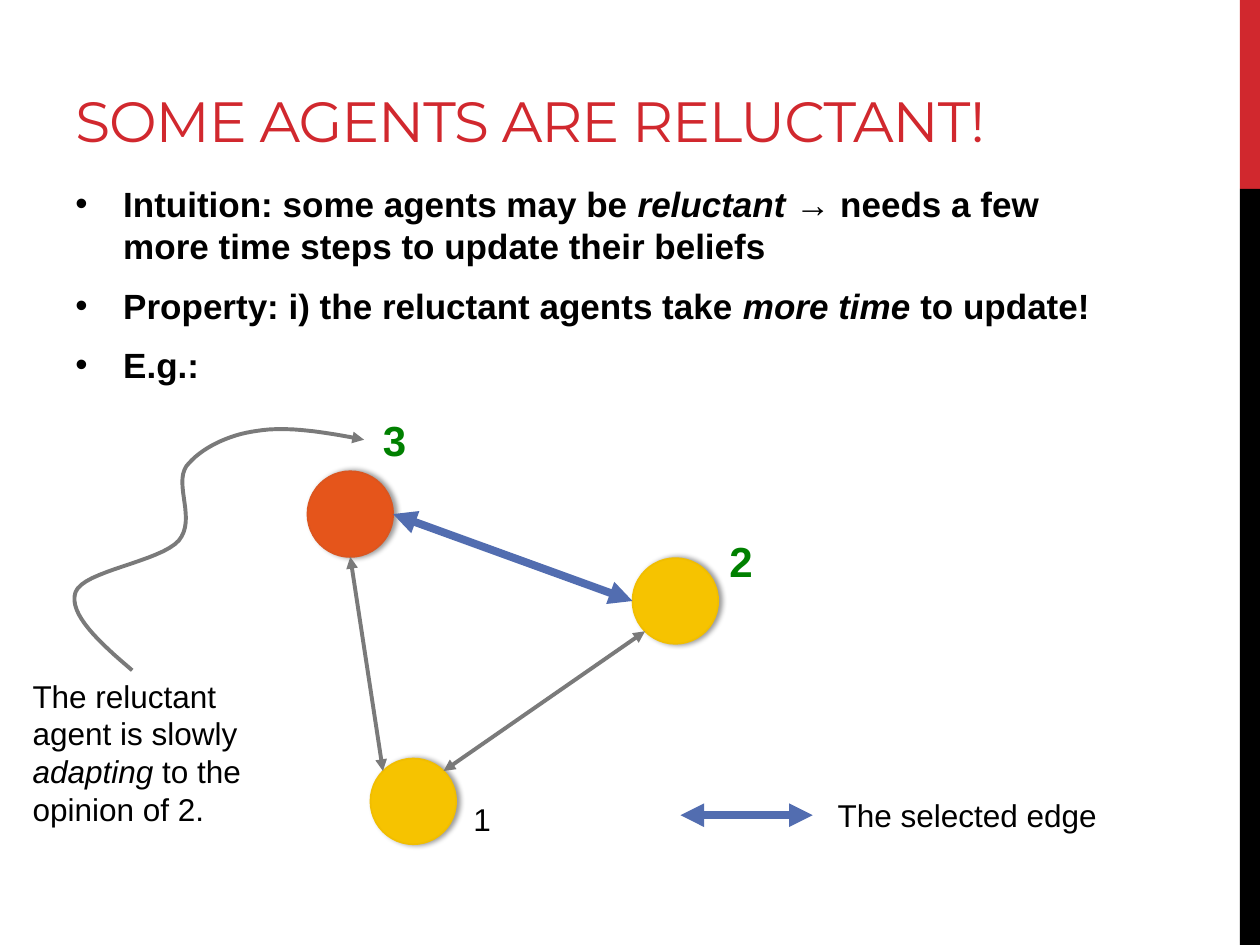
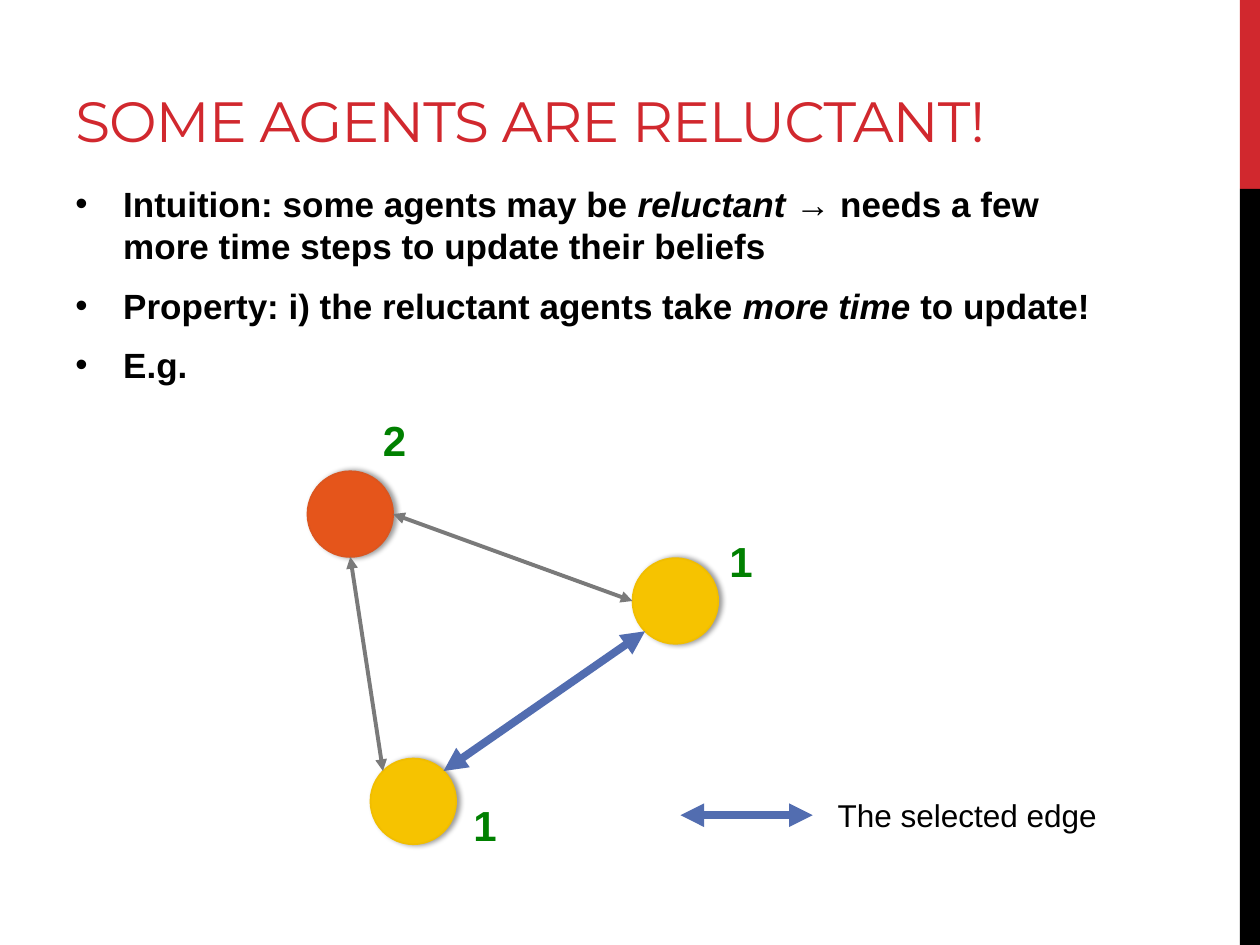
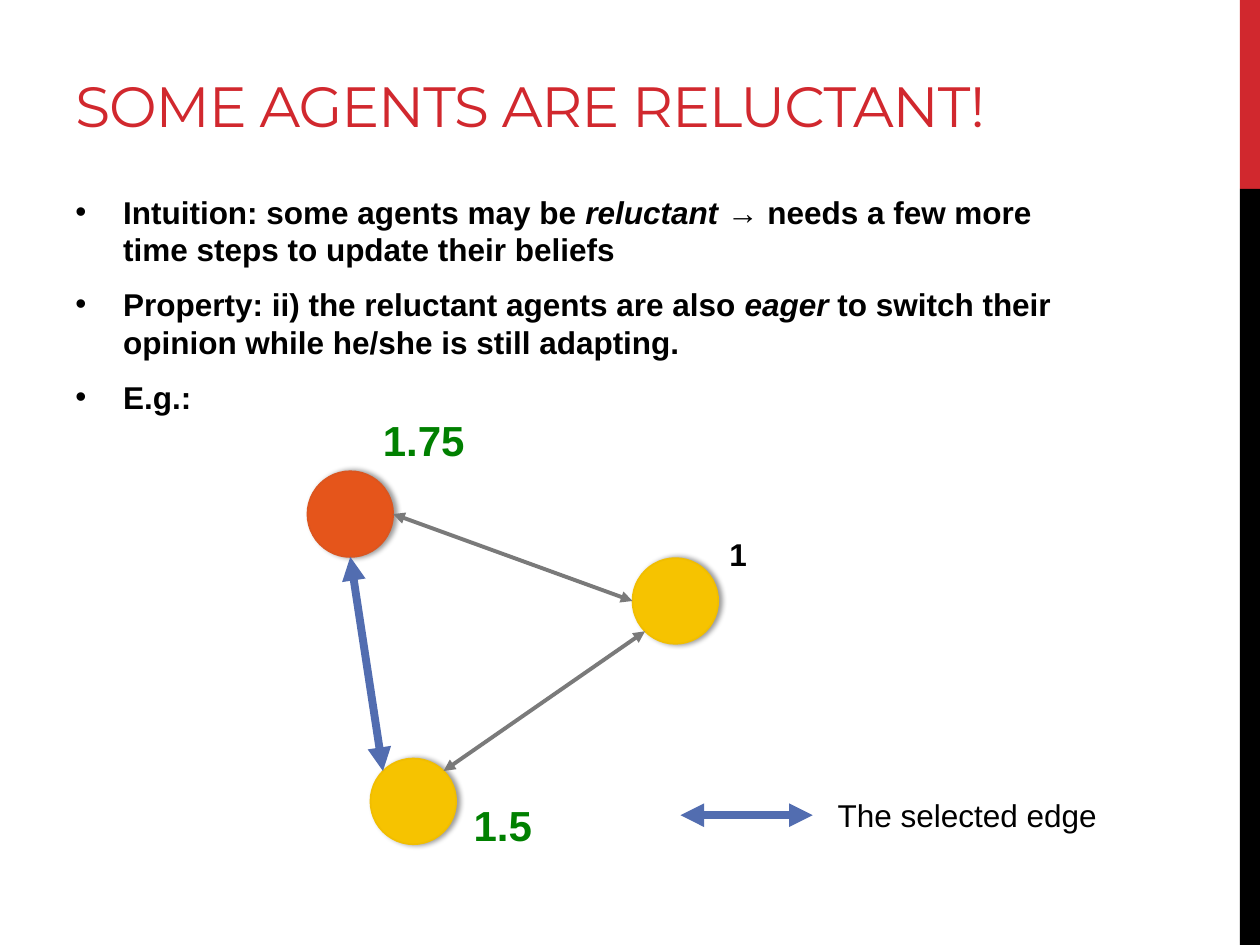
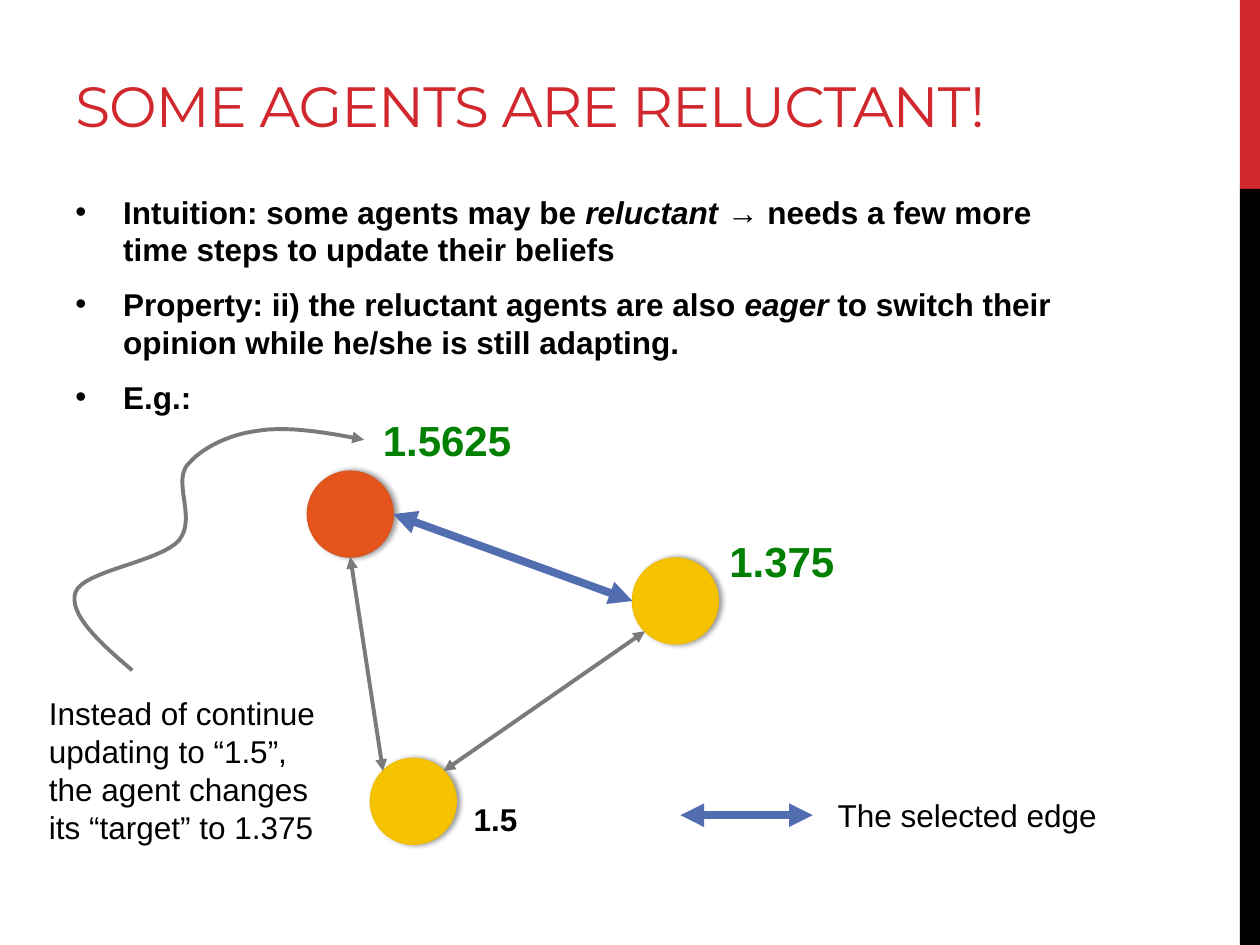
from dataclasses import dataclass
from math import cos, radians, sin

from lxml.etree import SubElement
from pptx import Presentation
from pptx.dml.color import RGBColor
from pptx.enum.shapes import MSO_CONNECTOR as Wire, MSO_SHAPE as Form
from pptx.enum.text import MSO_ANCHOR as Anchor, MSO_AUTO_SIZE as Fit
from pptx.oxml.ns import qn
from pptx.util import Inches, Pt

# Shared look
RED = RGBColor(0xD1, 0x28, 0x2E)
BLACK = RGBColor(0, 0, 0)
GREEN = RGBColor(0, 0x80, 0)
GRAY = RGBColor(0x7A, 0x7A, 0x7A)
BLUE = RGBColor(0x52, 0x6D, 0xB0)
ORANGE = RGBColor(0xE5, 0x55, 0x1B)
RUST = RGBColor(0xDC, 0x55, 0x1F)
YELLOW = RGBColor(0xF6, 0xC3, 0x00)
GOLD = RGBColor(0xF1, 0xBE, 0x00)
HEAD, BODY = "Montserrat", "Arial"
TITLE = "SOME AGENTS ARE RELUCTANT!"
INTRO = ("Intuition: some agents may be *reluctant *"
         "\u2192 needs a few more time steps to update their beliefs")
SLOW = "Property: i) the reluctant agents take *more time *to update!"
EAGER = ("Property: ii) the reluctant agents are also *eager *"
         "to switch their opinion while he/she is still adapting.")
RADIUS = 0.34

Point = tuple[float, float]


@dataclass(frozen=True)
class Node:
    x: float
    y: float
    fill: RGBColor
    edge: RGBColor
    label: Point

    def rim(self, angle: float) -> Point:
        """Point on the rim, clockwise from the right in degrees."""
        turn = radians(angle)
        return self.x + RADIUS * cos(turn), self.y + RADIUS * sin(turn)


@dataclass(frozen=True)
class Note:
    box: tuple[float, float, float, float]
    text: str


@dataclass(frozen=True)
class Page:
    points: list[str]
    size: int            # body text, in points
    split: float         # bottom of the title
    top: float           # top of the body
    values: list[str]    # in the order of NODES
    fresh: list[bool]    # values that have just changed
    picked: int          # index of the selected edge
    bold: bool = True    # weight of the unchanged values
    note: Note | None = None


# Graph: the reluctant agent, the lower agent, the right agent
NODES = [
    Node(2.78, 4.08, ORANGE, RUST, (2.94, 3.24)),
    Node(3.28, 6.36, YELLOW, GOLD, (3.66, 6.3)),
    Node(5.36, 4.77, YELLOW, GOLD, (5.69, 4.2)),
]
EDGES = [
    (NODES[0].rim(0), NODES[2].rim(180)),
    (NODES[0].rim(90), NODES[1].rim(225)),
    (NODES[1].rim(315), NODES[2].rim(135)),
]
# Bezier knots of the curve from the note to the reluctant agent
CURVE = [
    (1.05, 5.32), (0.79, 5.1), (0.54, 4.87), (0.6, 4.7),
    (0.66, 4.53), (1.27, 4.46), (1.42, 4.29),
    (1.56, 4.12), (1.38, 3.85), (1.48, 3.7),
    (1.59, 3.56), (1.81, 3.45), (2.04, 3.42),
    (2.28, 3.38), (2.58, 3.43), (2.89, 3.49),
]

PAGES = [
    Page([INTRO, SLOW, "E.g.:"], 20, 1.27, 1.4,
         ["3", "1", "2"], [True, False, True], 0, bold=False,
         note=Note((0.16, 5.32, 2.01, 1.31),
                   "The reluctant agent is slowly *adapting*"
                   " to the opinion of 2.")),
    Page([INTRO, SLOW, "E.g."], 20, 1.27, 1.4,
         ["2", "1", "1"], [True, True, True], 2),
    Page([INTRO, EAGER, "E.g.:"], 18, 1.15, 1.48,
         ["1.75", "1.5", "1"], [True, True, False], 1),
    Page([INTRO, EAGER, "E.g.:"], 18, 1.15, 1.48,
         ["1.5625", "1.5", "1.375"], [True, False, True], 0,
         note=Note((0.29, 5.46, 2.49, 1.31),
                   "Instead of continue updating to \u201c1.5\u201d, the agent "
                   "changes its \u201ctarget\u201d to 1.375")),
]


# Text
def fill_par(par, text: str, size: float, color: RGBColor = BLACK,
             bold: bool = False, face: str = BODY) -> None:
    """Write text in one style; parts between asterisks are italic."""
    font = par.font
    font.size, font.name, font.bold = Pt(size), face, bold
    font.color.rgb = color
    for i, part in enumerate(text.split("*")):
        run = par.add_run()
        run.text = part
        if i % 2:
            run.font.italic = True


def add_box(slide, x: float, y: float, w: float, h: float,
            wrap: bool = True):
    box = slide.shapes.add_textbox(Inches(x), Inches(y), Inches(w), Inches(h))
    box.text_frame.word_wrap = wrap
    return box.text_frame


def add_title(slide, split: float) -> None:
    frame = add_box(slide, 0.5, 0.17, 8.33, split - 0.17)
    frame.vertical_anchor = Anchor.BOTTOM
    par = frame.paragraphs[0]
    fill_par(par, TITLE, 32.4, RED, face=HEAD)
    par.runs[0].font._element.set("spc", "-60")


def add_body(slide, page: Page) -> None:
    frame = add_box(slide, 0.5, page.top, 8.33, 6.7 - page.top)
    for i, text in enumerate(page.points):
        par = frame.add_paragraph() if i else frame.paragraphs[0]
        par.space_before, par.space_after = Pt(page.size * 0.2), Pt(6)
        props = par._p.get_or_add_pPr()
        props.set("marL", str(Inches(0.38)))
        props.set("indent", str(Inches(-0.38)))
        SubElement(props, qn("a:buFont"), typeface=BODY)
        SubElement(props, qn("a:buChar"), char="\u2022")
        fill_par(par, text, page.size, bold=True)


def add_label(slide, spot: Point, text: str, size: int,
              color: RGBColor, bold: bool) -> None:
    ems = sum(0.28 if char == "." else 0.56 for char in text)
    frame = add_box(slide, *spot, ems * size / 72 + 0.2,
                    0.5 if size > 18 else 0.4, wrap=False)
    frame.auto_size = Fit.SHAPE_TO_FIT_TEXT
    fill_par(frame.paragraphs[0], text, size, color, bold)


# Shapes
def add_form(slide, form: Form, x: float, y: float, w: float, h: float,
             fill: RGBColor):
    shape = slide.shapes.add_shape(
        form, Inches(x), Inches(y), Inches(w), Inches(h))
    shape.shadow.inherit = False
    shape.fill.solid()
    shape.fill.fore_color.rgb = fill
    shape.line.fill.background()
    return shape


def add_node(slide, node: Node) -> None:
    shape = add_form(slide, Form.FLOWCHART_CONNECTOR, node.x - RADIUS,
                     node.y - RADIUS, 2 * RADIUS, 2 * RADIUS, node.fill)
    shape.line.color.rgb = node.edge
    shape.line.width = Pt(1)
    glow = SubElement(
        shape._element.spPr.find(qn("a:effectLst")), qn("a:outerShdw"),
        blurRad=str(Pt(3.1)), dist=str(Pt(1.8)), dir="0", rotWithShape="0")
    tint = SubElement(glow, qn("a:srgbClr"), val=str(BLACK))
    SubElement(tint, qn("a:alpha"), val="40000")


def set_line(shape, color: RGBColor, width: float, *ends: str) -> None:
    shape.line.color.rgb = color
    shape.line.width = Pt(width)
    for end in ends:
        SubElement(shape.line._get_or_add_ln(), qn(f"a:{end}"),
                   type="triangle")


def add_edge(slide, start: Point, stop: Point, picked: bool) -> None:
    wire = slide.shapes.add_connector(
        Wire.STRAIGHT, *(Inches(n) for n in (*start, *stop)))
    color, width = (BLUE, 4.5) if picked else (GRAY, 2.25)
    set_line(wire, color, width, "headEnd", "tailEnd")
    SubElement(wire._element.spPr, qn("a:effectLst"))


def trace(knots: list[Point], steps: int = 16) -> list[Point]:
    """Points along a chain of cubic Bezier curves."""
    spots = [knots[0]]
    for i in range(0, len(knots) - 1, 3):
        for step in range(1, steps + 1):
            t = step / steps
            u = 1 - t
            mix = (u ** 3, 3 * u * u * t, 3 * u * t * t, t ** 3)
            x, y = (sum(m * knot[axis] for m, knot in zip(mix, knots[i:i + 4]))
                    for axis in (0, 1))
            spots.append((x, y))
    return spots


def add_note(slide, note: Note) -> None:
    first, *rest = [(Inches(x), Inches(y)) for x, y in trace(CURVE)]
    pen = slide.shapes.build_freeform(*first)
    pen.add_line_segments(rest, close=False)
    curve = pen.convert_to_shape()
    curve.shadow.inherit = False
    curve.fill.background()
    set_line(curve, GRAY, 2.25, "tailEnd")
    frame = add_box(slide, *note.box)
    fill_par(frame.paragraphs[0], note.text, 18)


# Slide parts
def add_bands(slide) -> None:
    add_form(slide, Form.RECTANGLE, 9.84, 0, 0.16, 1.5, RED)
    add_form(slide, Form.RECTANGLE, 9.84, 1.5, 0.16, 6, BLACK)


def add_graph(slide, page: Page) -> None:
    for node in NODES:
        add_node(slide, node)
    for i, (start, stop) in enumerate(EDGES):
        add_edge(slide, start, stop, i == page.picked)
    for node, text, fresh in zip(NODES, page.values, page.fresh):
        size, color = (24, GREEN) if fresh else (18, BLACK)
        add_label(slide, node.label, text, size, color, fresh or page.bold)


def add_key(slide) -> None:
    add_edge(slide, (5.4, 6.47), (6.45, 6.47), True)
    frame = add_box(slide, 6.55, 6.27, 2.28, 0.4, wrap=False)
    fill_par(frame.paragraphs[0], "The selected edge", 18)


# Build the deck
deck = Presentation()
deck.slide_width, deck.slide_height = Inches(10), Inches(7.5)
for page in PAGES:
    slide = deck.slides.add_slide(deck.slide_layouts[6])
    add_bands(slide)
    add_title(slide, page.split)
    add_body(slide, page)
    add_graph(slide, page)
    add_key(slide)
    if page.note:
        add_note(slide, page.note)
deck.save("out.pptx")
